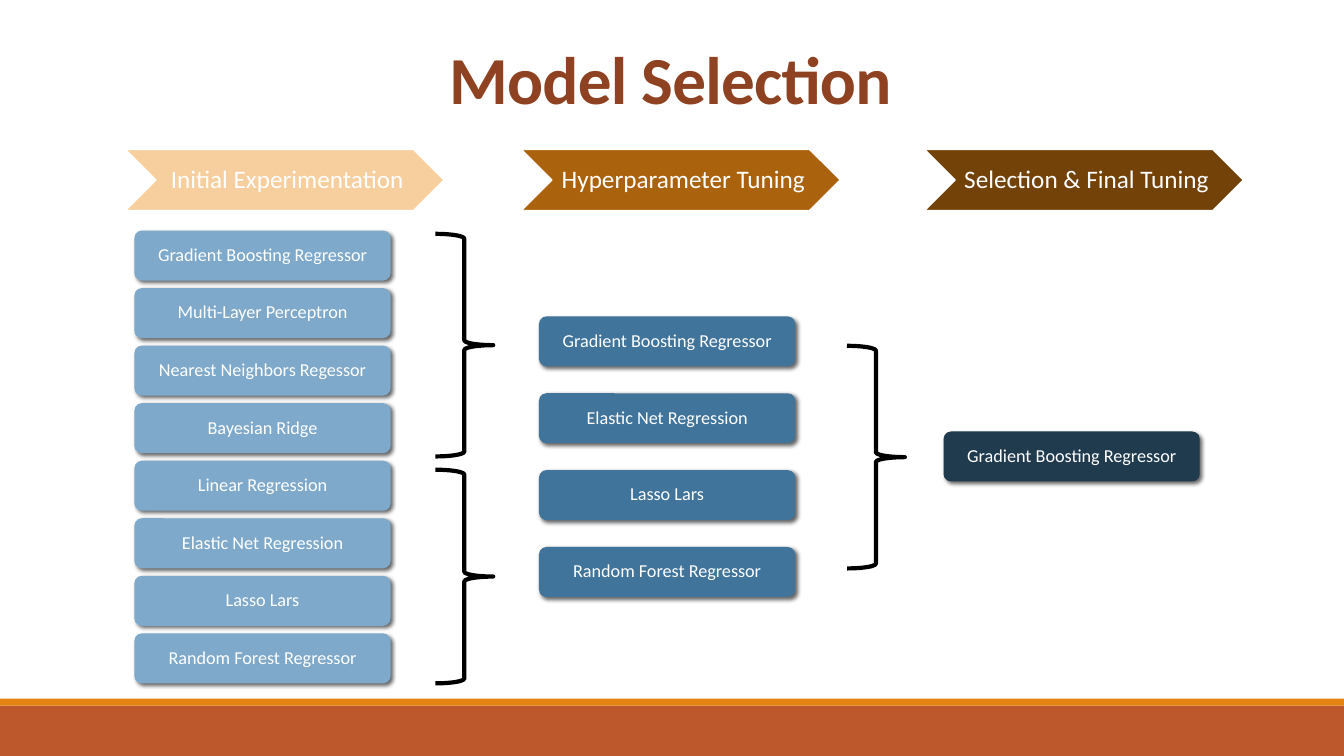
"""Build the Model Selection slide."""
import pptx
import pptx.util
import pptx.dml.color
import pptx.enum.shapes
import pptx.enum.text
import lxml.etree

Pt = pptx.util.Pt
KIND = pptx.enum.shapes.MSO_SHAPE
TEXT = pptx.enum.text

TITLE = "Model Selection"
STAGES = [
    {"head": "Initial Experimentation", "tint": "F7CE9D", "x": 89.3,
     "fill": "7EA9CA", "left": 96, "top": 164.7, "step": 41.1,
     "models": ["Gradient Boosting Regressor", "Multi-Layer Perceptron",
                "Nearest Neighbors Regessor", "Bayesian Ridge",
                "Linear Regression", "Elastic Net Regression",
                "Lasso Lars", "Random Forest Regressor"]},
    {"head": "Hyperparameter Tuning", "tint": "AB620D", "x": 372.2,
     "fill": "40749B", "left": 385, "top": 226, "step": 54.9,
     "models": ["Gradient Boosting Regressor", "Elastic Net Regression",
                "Lasso Lars", "Random Forest Regressor"]},
    {"head": "Selection & Final Tuning", "tint": "724209", "x": 660.2,
     "fill": "203A4E", "left": 674, "top": 308.2, "step": 0,
     "models": ["Gradient Boosting Regressor"]},
]
BRACES = [(311, 167, 159), (311, 335.5, 152.6), (605, 247, 159)]
BARS = [(504, 36, "BD582C"), (499, 5, "E48312")]
SHADOW = (
    '<a:effectLst xmlns:a="http://schemas.openxmlformats.org/drawingml/2006/main">'
    '<a:outerShdw blurRad="38100" dist="25400" dir="2700000" rotWithShape="0">'
    '<a:srgbClr val="000000"><a:alpha val="60000"/></a:srgbClr>'
    '</a:outerShdw></a:effectLst>')


def color(code):
    return pptx.dml.color.RGBColor.from_string(code)


def add(slide, kind, x, y, w, h, fill=None):
    shape = slide.shapes.add_shape(kind, Pt(x), Pt(y), Pt(w), Pt(h))
    shape.shadow.inherit = False
    shape.line.fill.background()
    if fill:
        shape.fill.solid()
        shape.fill.fore_color.rgb = color(fill)
    else:
        shape.fill.background()
    return shape


def label(shape, text, size, left, right):
    frame = shape.text_frame
    frame.word_wrap = True
    frame.vertical_anchor = TEXT.MSO_ANCHOR.MIDDLE
    frame.margin_left, frame.margin_right = Pt(left), Pt(right)
    frame.margin_top = frame.margin_bottom = Pt(2)
    frame.text = text
    style(frame.paragraphs[0], size, "FFFFFF", 0.9)


def style(para, size, code, space):
    para.alignment = TEXT.PP_ALIGN.CENTER
    para.line_spacing = space
    para.font.name = "Calibri"
    para.font.size = Pt(size)
    para.font.color.rgb = color(code)


def add_title(slide):
    title = slide.shapes.title
    title.left, title.top = Pt(64.8), Pt(14.4)
    title.width, title.height = Pt(828), Pt(73.4)
    frame = title.text_frame
    frame.text = TITLE
    frame.auto_size = TEXT.MSO_AUTO_SIZE.NONE
    frame.vertical_anchor = TEXT.MSO_ANCHOR.BOTTOM
    para = frame.paragraphs[0]
    style(para, 48, "8E4221", 0.85)
    para.font.bold = True
    para.runs[0].font._element.set("spc", "-50")


def add_stage(slide, stage):
    for row, model in enumerate(stage["models"]):
        top = stage["top"] + row * stage["step"]
        box = add(slide, KIND.ROUNDED_RECTANGLE, stage["left"], top,
                  183, 35.7, stage["fill"])
        box.adjustments[0] = 0.15
        props = box._element.spPr
        props.remove(props[-1])
        props.append(lxml.etree.fromstring(SHADOW))
        label(box, model, 13, 2, 2)
    head = add(slide, KIND.CHEVRON, stage["x"], 106.6, 228.2, 43.9, stage["tint"])
    head.line.color.rgb = color("FFFFFF")
    head.line.width = Pt(1.25)
    label(head, stage["head"], 18, 5.4, 1.8)
    head.text_frame.word_wrap = False


def add_brace(slide, x, y, h):
    brace = add(slide, KIND.LEFT_BRACE, x, y, 41.3, h)
    brace.rotation = 180
    brace.line.color.rgb = color("000000")
    brace.line.width = Pt(3)


def main():
    deck = pptx.Presentation()
    deck.slide_width, deck.slide_height = Pt(960), Pt(540)
    slide = deck.slides.add_slide(deck.slide_layouts[5])
    for top, high, fill in BARS:
        add(slide, KIND.RECTANGLE, 0, top, 960, high, fill)
    add_title(slide)
    for stage in STAGES:
        add_stage(slide, stage)
    for brace in BRACES:
        add_brace(slide, *brace)
    deck.save("out.pptx")


if __name__ == "__main__":
    main()
